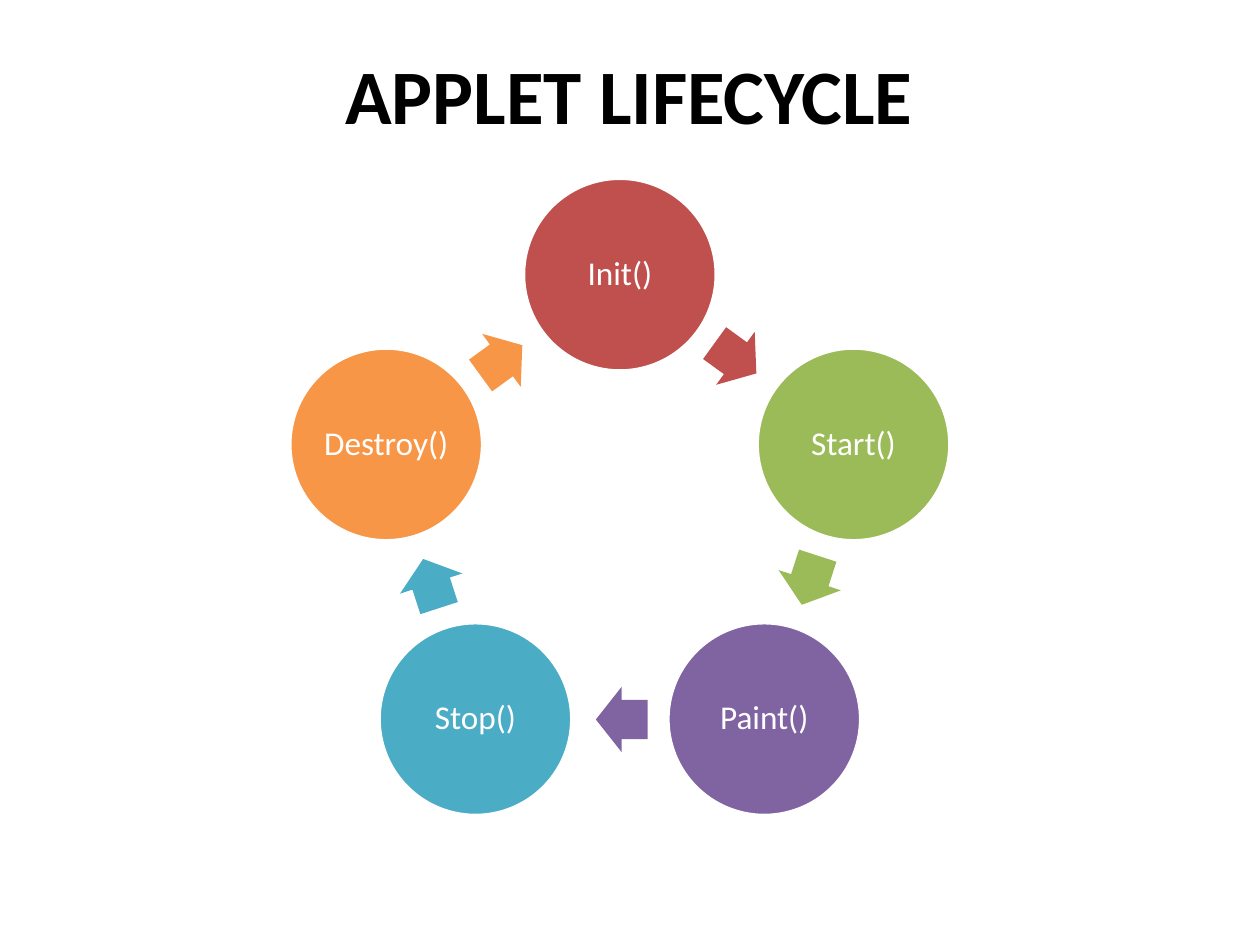
"""Build the applet lifecycle slide: five stages on a ring, joined by arrows."""
import math
from dataclasses import dataclass

from pptx import Presentation
from pptx.dml.color import RGBColor
from pptx.enum import shapes, text
from pptx.util import Inches, Pt

BLACK = RGBColor(0x00, 0x00, 0x00)
WHITE = RGBColor(0xFF, 0xFF, 0xFF)
RED = RGBColor(0xC0, 0x50, 0x4D)
GREEN = RGBColor(0x9B, 0xBB, 0x59)
PURPLE = RGBColor(0x80, 0x64, 0xA2)
TEAL = RGBColor(0x4B, 0xAC, 0xC6)
ORANGE = RGBColor(0xF7, 0x96, 0x46)

CENTER_X, CENTER_Y = 4.92, 4.13
STAGE_RADIUS, ARROW_RADIUS = 1.95, 1.58
STAGE_SIZE = 1.53
ARROW_LENGTH, ARROW_WIDTH = 0.41, 0.52
ARROW_LAG = 0.5


@dataclass(frozen=True)
class Stage:
    label: str
    color: RGBColor


STAGES = [
    Stage("Init()", RED),
    Stage("Start()", GREEN),
    Stage("Paint()", PURPLE),
    Stage("Stop()", TEAL),
    Stage("Destroy()", ORANGE),
]


def write_text(shape, content: str, *, size: float, color: RGBColor,
               bold: bool = False, line_spacing: float = 1.0,
               anchor=text.MSO_ANCHOR.TOP) -> None:
    frame = shape.text_frame
    frame.word_wrap = True
    frame.vertical_anchor = anchor
    paragraph = frame.paragraphs[0]
    paragraph.alignment = text.PP_ALIGN.CENTER
    paragraph.line_spacing = line_spacing
    run = paragraph.add_run()
    run.text = content
    run.font.name = "Calibri"
    run.font.size = Pt(size)
    run.font.bold = bold
    run.font.color.rgb = color


def add_on_ring(slide, kind, angle: float, radius: float,
                width: float, height: float, color: RGBColor):
    turn = math.radians(angle)
    left = CENTER_X + radius * math.sin(turn) - width / 2
    top = CENTER_Y - radius * math.cos(turn) - height / 2
    shape = slide.shapes.add_shape(
        kind, Inches(left), Inches(top), Inches(width), Inches(height))
    shape.shadow.inherit = False
    shape.fill.solid()
    shape.fill.fore_color.rgb = color
    return shape


def add_stage(slide, stage: Stage, angle: float) -> None:
    circle = add_on_ring(slide, shapes.MSO_SHAPE.OVAL, angle, STAGE_RADIUS,
                         STAGE_SIZE, STAGE_SIZE, stage.color)
    circle.line.color.rgb = WHITE
    circle.line.width = Pt(2)
    frame = circle.text_frame
    frame.margin_left = frame.margin_right = Inches(0.03)
    frame.margin_top = frame.margin_bottom = Inches(0.03)
    write_text(circle, stage.label, size=19, color=WHITE, line_spacing=0.9,
               anchor=text.MSO_ANCHOR.MIDDLE)


def add_arrow(slide, color: RGBColor, angle: float) -> None:
    arrow = add_on_ring(slide, shapes.MSO_SHAPE.RIGHT_ARROW, angle - ARROW_LAG,
                        ARROW_RADIUS, ARROW_LENGTH, ARROW_WIDTH, color)
    arrow.line.fill.background()
    arrow.adjustments[0] = 0.6
    arrow.adjustments[1] = 0.5
    arrow.rotation = angle


def main() -> None:
    presentation = Presentation()
    presentation.slide_width = Inches(10)
    presentation.slide_height = Inches(7.5)
    slide = presentation.slides.add_slide(presentation.slide_layouts[6])

    step = 360 / len(STAGES)
    for index, stage in enumerate(STAGES):
        add_stage(slide, stage, index * step)
        add_arrow(slide, stage.color, (index + 0.5) * step)

    title = slide.shapes.add_textbox(
        Inches(2.08), Inches(0.33), Inches(5.83), Inches(0.84))
    write_text(title, "APPLET LIFECYCLE", size=44, color=BLACK, bold=True)
    title.text_frame.auto_size = text.MSO_AUTO_SIZE.SHAPE_TO_FIT_TEXT

    presentation.save("out.pptx")


main()
